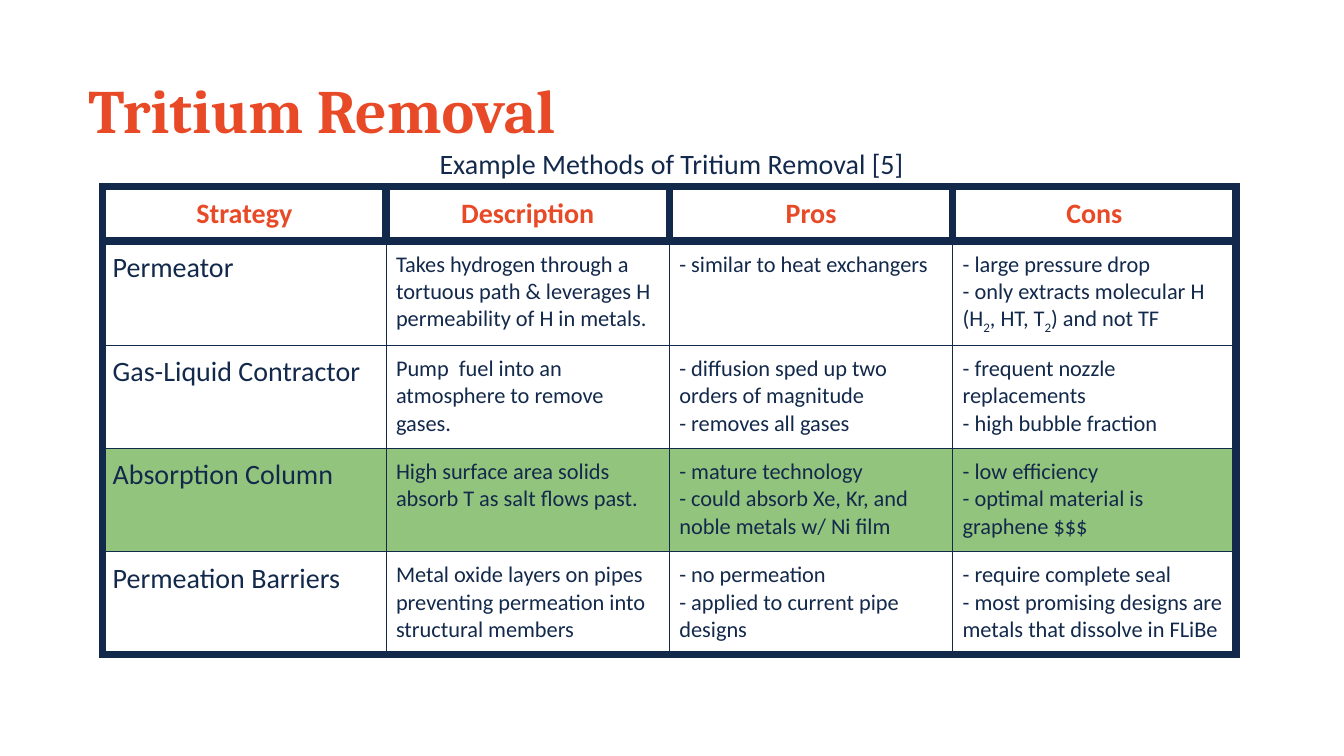
import pptx
import pptx.util
import pptx.dml.color
import pptx.enum.text
import pptx.oxml
import pptx.oxml.ns
from pptx.util import Cm

COLORS = {"navy": "13294B", "orange": "E84A27", "green": "93C47D"}
ALIGN = pptx.enum.text.PP_ALIGN
THICK, THIN = 6, 0.75
HEADS = ["Strategy", "Description", "Pros", "Cons"]
# Lines of a cell are split by newlines; text between bars is subscript.
ROWS = [
    ["Permeator",
     "Takes hydrogen through a tortuous path & leverages H permeability of H in metals.",
     "- similar to heat exchangers",
     "- large pressure drop\n- only extracts molecular H (H|2|, HT, T|2|) and not TF"],
    ["Gas-Liquid Contractor",
     "Pump  fuel into an atmosphere to remove gases.",
     "- diffusion sped up two orders of magnitude\n- removes all gases",
     "- frequent nozzle replacements\n- high bubble fraction"],
    ["Absorption Column",
     "High surface area solids absorb T as salt flows past.",
     "- mature technology\n- could absorb Xe, Kr, and noble metals w/ Ni film",
     "- low efficiency\n- optimal material is graphene $$$"],
    ["Permeation Barriers",
     "Metal oxide layers on pipes preventing permeation into structural members",
     "- no permeation\n- applied to current pipe designs",
     "- require complete seal\n- most promising designs are metals that dissolve in FLiBe"],
]
PICK = 3  # table row with the green fill


def color(name):
    return pptx.dml.color.RGBColor.from_string(COLORS[name])


def write(frame, text, size, tint, bold=False, align=ALIGN.LEFT, face="Calibri"):
    for i, line in enumerate(text.split("\n")):
        para = frame.add_paragraph() if i else frame.paragraphs[0]
        para.alignment = align
        font = para.font
        font.name, font.size, font.bold = face, pptx.util.Pt(size), bold
        font.color.rgb = color(tint)
        for j, part in enumerate(line.split("|")):
            run = para.add_run()
            run.text = part
            if j % 2:
                run.font._element.set("baseline", "-25000")


def label(slide, box, inset, text, size, tint, **style):
    frame = slide.shapes.add_textbox(*box).text_frame
    frame.word_wrap = True
    frame.margin_left = frame.margin_right = Cm(0.25)
    frame.margin_top = frame.margin_bottom = inset
    write(frame, text, size, tint, **style)
    return frame


def title(slide, box):
    frame = label(slide, box, Cm(0.13), "Tritium Removal", 44, "orange",
                  bold=True, face="Cambria")
    frame.vertical_anchor = pptx.enum.text.MSO_ANCHOR.MIDDLE
    frame.paragraphs[0].line_spacing = 0.9


def border(cell, widths):
    """Draw the four sides of a cell; widths maps L, R, T, B to points."""
    for side, width in widths.items():
        cell._tc.get_or_add_tcPr().append(pptx.oxml.parse_xml(
            f'<a:ln{side} {pptx.oxml.ns.nsdecls("a")} w="{int(width * 12700)}">'
            f'<a:solidFill><a:srgbClr val="{COLORS["navy"]}"/></a:solidFill>'
            f'<a:prstDash val="solid"/></a:ln{side}>'))


def methods(slide, box):
    data = [HEADS] + ROWS
    table = slide.shapes.add_table(len(data), len(HEADS), *box).table
    table.first_row = table.horz_banding = False
    head = Cm(1.37)
    for r, texts in enumerate(data):
        table.rows[r].height = (box[3] - head) // len(ROWS) if r else head
        for c, text in enumerate(texts):
            cell = table.cell(r, c)
            cell.margin_left = cell.margin_right = Cm(0.25)
            cell.margin_top = cell.margin_bottom = Cm(0.25)
            edges = {"L": c == 0, "R": c == len(HEADS) - 1,
                     "T": r == 1, "B": r == len(ROWS)}
            border(cell, {side: THICK if r == 0 or edge else THIN
                          for side, edge in edges.items()})
            if r == PICK:
                cell.fill.solid()
                cell.fill.fore_color.rgb = color("green")
            else:
                cell.fill.background()
            if r == 0:
                write(cell.text_frame, text, 20, "orange", True, ALIGN.CENTER)
            else:
                write(cell.text_frame, text, 16 if c else 20, "navy")


def main():
    deck = pptx.Presentation()
    deck.slide_width, deck.slide_height = Cm(33.87), Cm(19.05)
    slide = deck.slides.add_slide(deck.slide_layouts[6])
    title(slide, (Cm(1.98), Cm(1.02), Cm(31.89), Cm(3.68)))
    label(slide, (Cm(6.6), Cm(3.45), Cm(20.65), Cm(1.24)), Cm(0.25),
          "Example Methods of Tritium Removal [5]", 20, "navy", align=ALIGN.CENTER)
    methods(slide, (Cm(2.59), Cm(4.7), Cm(28.56), Cm(11.77)))
    deck.save("out.pptx")


if __name__ == "__main__":
    main()
